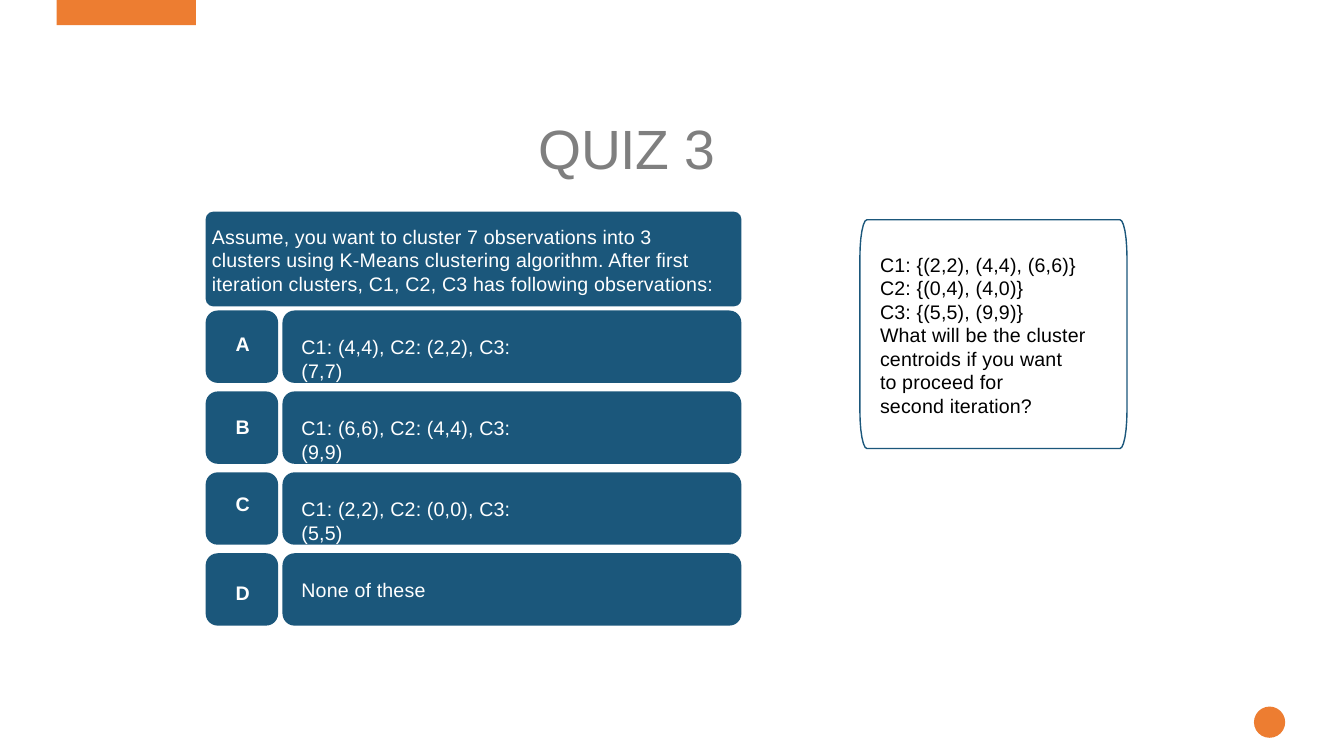
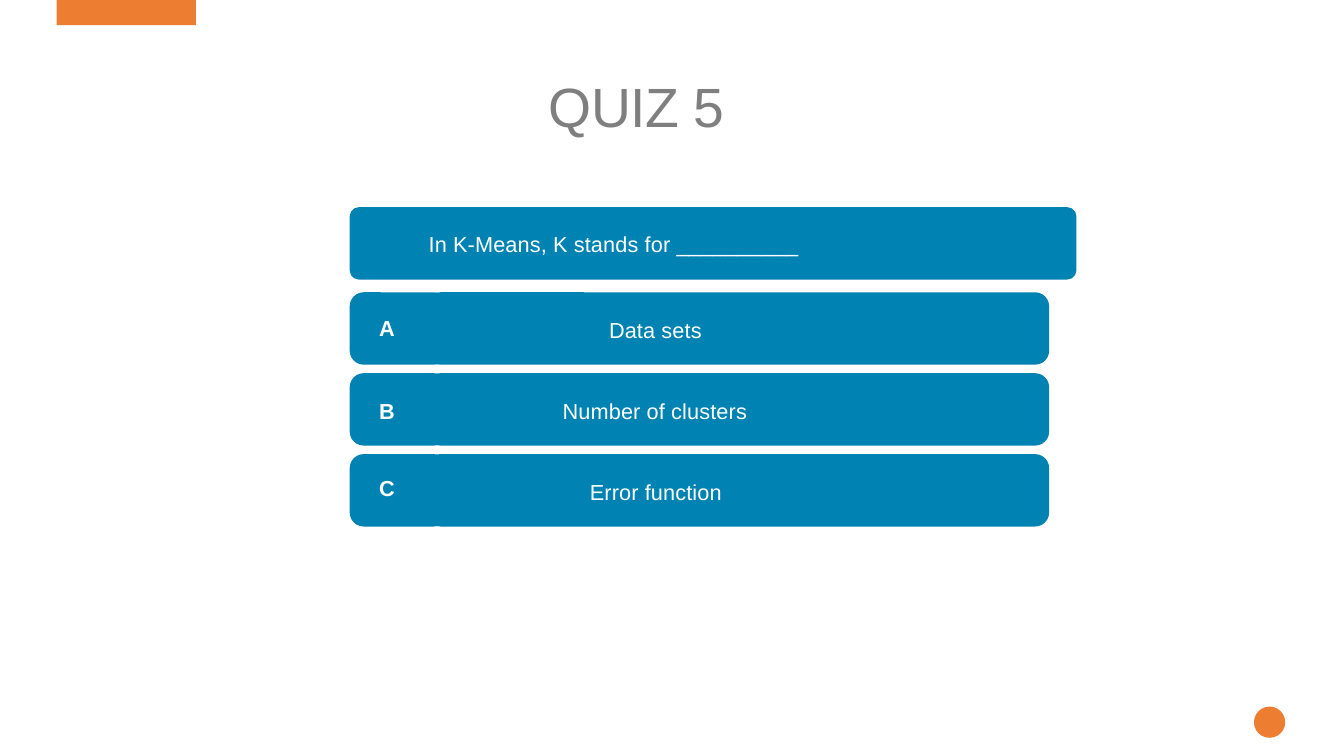
from math import cos, pi, sin

from pptx import Presentation
from pptx.dml.color import RGBColor
from pptx.enum.shapes import MSO_SHAPE
from pptx.util import Pt

COLORS = {
    "accent": "ED7D31", "title": "7F7F7F", "white": "FFFFFF",
    "black": "000000", "navy": "1B577B", "blue": "0083B3",
}
FONT = "Arial"
TITLE_SIZE = 39.5
LINE_FACTOR = 1.2
ROW_STEP, ROW_HEIGHT = 57.8, 51.7
ANSWER_DROP = 17.7

# Boxes are (left, top, width, height); labels are (left, top, width).
# Options are (letter, letter drop within its row, answer, answer left).
QUIZZES = [
    {
        "title": "QUIZ 3", "title_at": (385, 81.5, 160),
        "fill": "navy", "size": 14,
        "question": "Assume, you want to cluster 7 observations into 3 clusters using "
                    "K-Means clustering algorithm. After first iteration clusters, "
                    "C1, C2, C3 has following observations:",
        "question_box": (146.9, 151.2, 382.7, 67.7), "question_radius": 5.4,
        "question_at": (151.4, 160.3, 362),
        "rows_top": 221.8, "radius": 8.6,
        "letter_card": (146.9, 51.8), "answer_card": (201.8, 327.8),
        "letter_left": 168.3, "answer_width": 173,
        "options": [
            ("A", 15.6, "C1: (4,4), C2: (2,2), C3: (7,7)", 215.3),
            ("B", 16.9, "C1: (6,6), C2: (4,4), C3: (9,9)", 215.3),
            ("C", 14, "C1: (2,2), C2: (0,0), C3: (5,5)", 215.3),
            ("D", 19.9, "None of these", 215.3),
        ],
        "panel_box": (614.2, 157, 190.8, 163.4), "panel_at": (628.6, 180.5, 160),
        "panel": [
            "C1: {(2,2), (4,4), (6,6)}",
            "C2: {(0,4), (4,0)}",
            "C3: {(5,5), (9,9)}",
            "What will be the cluster",
            "centroids if you want\vto proceed for\vsecond iteration?",
        ],
    },
    {
        "title": "QUIZ 5", "title_at": (392, 51.3, 160),
        "fill": "blue", "size": 15.5,
        "question": "In K-Means, K stands for __________",
        "question_box": (249.8, 148, 519.1, 51.7), "question_radius": 6.5,
        "question_at": (306.2, 165.2, 369),
        "rows_top": 208.8, "radius": 10,
        "letter_card": (249.8, 70.1), "answer_card": (304.6, 444.8),
        "letter_left": 270.8, "answer_width": 184,
        "options": [
            ("A", 16.2, "Data sets", 435),
            ("B", 17.5, "Number of clusters", 401.9),
            ("C", 14.8, "Error function", 421.3),
        ],
    },
]


def color(name):
    return RGBColor.from_string(COLORS[name])


def add_filled(page, kind, box, fill):
    shape = page.shapes.add_shape(kind, *map(Pt, box))
    shape.shadow.inherit = False
    shape.fill.solid()
    shape.fill.fore_color.rgb = color(fill)
    shape.line.fill.background()
    return shape


def add_card(page, box, radius, fill):
    card = add_filled(page, MSO_SHAPE.ROUNDED_RECTANGLE, box, fill)
    card.adjustments[0] = radius / min(box[2:])


def add_label(page, place, lines, size, ink="white", bold=False, tracking=0.1):
    """Add text without margins; tracking is the letter spacing in points."""
    left, top, width = place
    height = size * LINE_FACTOR * len(lines)
    box = page.shapes.add_textbox(Pt(left), Pt(top), Pt(width), Pt(height))
    frame = box.text_frame
    frame.word_wrap = True
    frame.margin_left = frame.margin_right = 0
    frame.margin_top = frame.margin_bottom = 0
    frame.text = "\n".join(lines)
    for para in frame.paragraphs:
        para.line_spacing = Pt(size * LINE_FACTOR)
        for span in para.runs:
            span.font.name = FONT
            span.font.size = Pt(size)
            span.font.bold = bold
            span.font.color.rgb = color(ink)
            span._r.get_or_add_rPr().set("spc", str(round(tracking * 100)))


def add_panel(page, box, corner_width=5, corner_height=27, steps=6):
    """Outline a box whose corners are tall quarter ellipses."""
    left, top, width, height = box
    points = []
    for quarter in range(4):
        center_x = left + (width - corner_width if quarter in (0, 3) else corner_width)
        center_y = top + (height - corner_height if quarter < 2 else corner_height)
        for step in range(steps + 1):
            angle = (quarter + step / steps) * pi / 2
            points.append((Pt(center_x + corner_width * cos(angle)),
                           Pt(center_y + corner_height * sin(angle))))
    builder = page.shapes.build_freeform(*points[0])
    builder.add_line_segments(points[1:], close=True)
    panel = builder.convert_to_shape()
    panel.shadow.inherit = False
    panel.fill.background()
    panel.line.color.rgb = color("navy")
    panel.line.width = Pt(1)


def add_quiz(deck, quiz):
    page = deck.slides.add_slide(deck.slide_layouts[6])
    add_filled(page, MSO_SHAPE.RECTANGLE, (40.5, 0, 99.4, 18), "accent")
    add_filled(page, MSO_SHAPE.OVAL, (895.7, 504.7, 22.3, 22.3), "accent")
    add_label(page, quiz["title_at"], [quiz["title"]], TITLE_SIZE, "title", tracking=-0.3)

    fill, size = quiz["fill"], quiz["size"]
    add_card(page, quiz["question_box"], quiz["question_radius"], fill)
    add_label(page, quiz["question_at"], [quiz["question"]], size)

    for row, (letter, drop, answer, answer_left) in enumerate(quiz["options"]):
        top = quiz["rows_top"] + row * ROW_STEP
        for left, width in (quiz["letter_card"], quiz["answer_card"]):
            add_card(page, (left, top, width, ROW_HEIGHT), quiz["radius"], fill)
        add_label(page, (quiz["letter_left"], top + drop, 20), [letter], size, bold=True)
        add_label(page, (answer_left, top + ANSWER_DROP, quiz["answer_width"]),
                  [answer], size)

    if "panel" in quiz:
        add_panel(page, quiz["panel_box"])
        add_label(page, quiz["panel_at"], quiz["panel"], size, "black")


def main():
    deck = Presentation()
    deck.slide_width, deck.slide_height = Pt(960), Pt(540)
    for quiz in QUIZZES:
        add_quiz(deck, quiz)
    deck.save("out.pptx")


if __name__ == "__main__":
    main()
